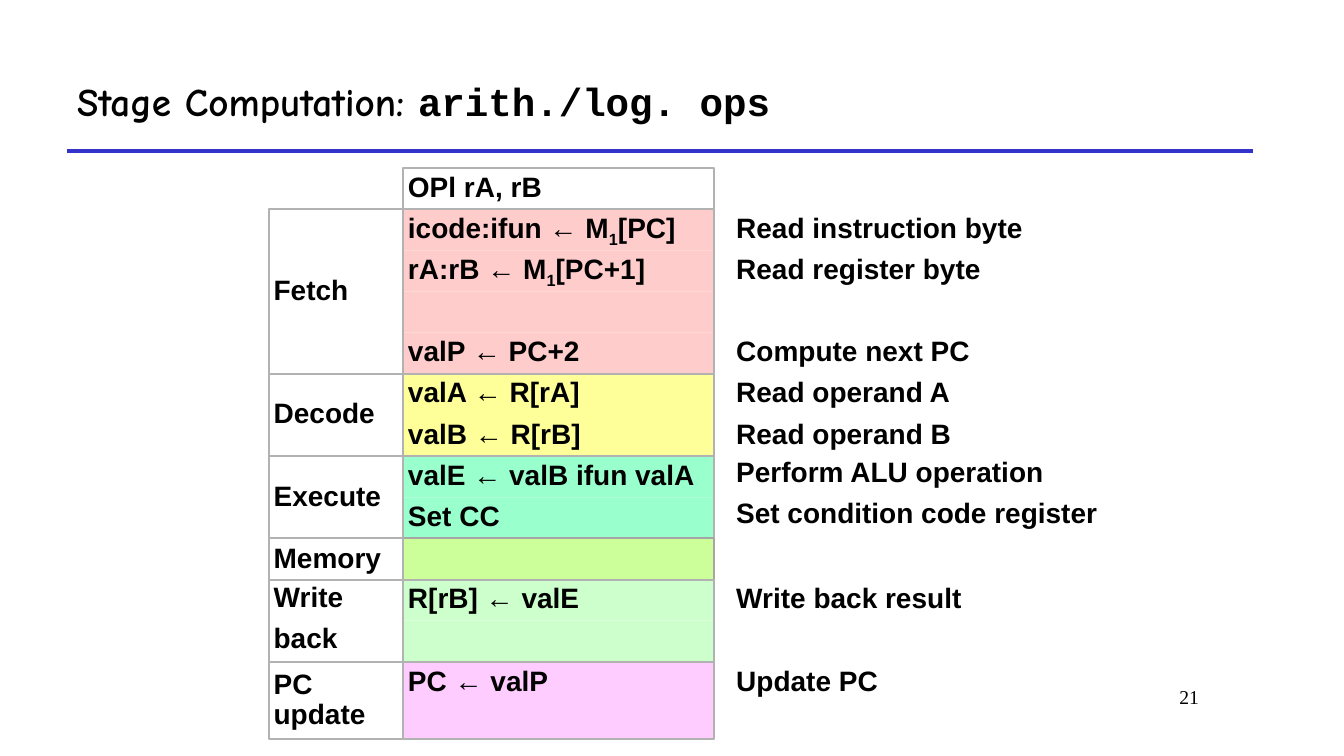
"""Build the slide on stage computation for arithmetic and logical operations."""
from dataclasses import dataclass
from typing import Optional

from lxml.etree import SubElement
from pptx import Presentation
from pptx.dml.color import RGBColor
from pptx.enum.shapes import MSO_CONNECTOR, MSO_SHAPE
from pptx.enum.text import MSO_ANCHOR as Anchor, MSO_AUTO_SIZE, PP_ALIGN as Align
from pptx.oxml.ns import qn
from pptx.slide import Slide
from pptx.util import Inches, Pt

PX = Inches(1) // 120
ROW = 49
TABLE_TOP = 200
NAME_LEFT, NAME_WIDTH = 320, 160
STEP_LEFT, STEP_WIDTH = 480, 371
NOTE_LEFT = 871
INSET = 6

BLACK = RGBColor(0x00, 0x00, 0x00)
RULE_BLUE = RGBColor(0x33, 0x33, 0xCC)
FRAME_GRAY = RGBColor(0xB2, 0xB2, 0xB2)
DARK_GRAY = RGBColor(0xA6, 0xA6, 0xA6)
PINK = RGBColor(0xFF, 0xCC, 0xCC)
YELLOW = RGBColor(0xFF, 0xFF, 0x99)
AQUA = RGBColor(0x99, 0xFF, 0xCC)
LIME = RGBColor(0xCC, 0xFF, 0x99)
MINT = RGBColor(0xCC, 0xFF, 0xCC)
VIOLET = RGBColor(0xFF, 0xCC, 0xFF)


@dataclass(frozen=True)
class Step:
    """One computation and its explanation; underscores enclose a subscript."""
    formula: str = ""
    note: str = ""
    formula_spacing: float = 0.9
    note_spacing: float = 0.9
    note_width: int = STEP_WIDTH


@dataclass(frozen=True)
class Stage:
    """A named processor stage with its coloured steps."""
    name: str
    color: RGBColor
    steps: tuple[Step, ...]
    step_height: int = ROW
    name_spacing: float = 0.9
    frame: RGBColor = FRAME_GRAY


@dataclass(frozen=True)
class Box:
    """A rectangle in px."""
    left: int
    top: int
    width: int
    height: int

    def emu(self) -> tuple[int, int, int, int]:
        """Return the rectangle in EMU."""
        return self.left * PX, self.top * PX, self.width * PX, self.height * PX


STAGES = (
    Stage("Fetch", PINK, (
        Step("icode:ifun ← M_1_[PC]", "Read instruction byte", formula_spacing=0.8),
        Step("rA:rB ← M_1_[PC+1]", "Read register byte", formula_spacing=0.8),
        Step(),
        Step("valP ← PC+2", "Compute next PC"),
    )),
    Stage("Decode", YELLOW, (
        Step("valA ← R[rA]", "Read operand A"),
        Step("valB ← R[rB]", "Read operand B"),
    )),
    Stage("Execute", AQUA, (
        Step("valE ← valB ifun valA", "Perform ALU operation",
             note_spacing=0.8, note_width=450),
        Step("Set CC", "Set condition code register",
             note_spacing=0.8, note_width=468),
    )),
    Stage("Memory", LIME, (Step(),), frame=DARK_GRAY),
    Stage("Write\nback", MINT, (Step("R[rB] ← valE", "Write back result"), Step()),
          name_spacing=0.7),
    Stage("PC update", VIOLET, (Step("PC ← valP", "Update PC"),), step_height=92),
)


def write_text(shape, text: str, spacing: float = 0.9, anchor: Anchor = Anchor.TOP) -> None:
    """Write bold left-aligned text with subscripts into a shape."""
    frame = shape.text_frame
    frame.word_wrap = True
    frame.vertical_anchor = anchor
    frame.margin_left = frame.margin_right = INSET * PX
    frame.margin_top = frame.margin_bottom = INSET * PX
    for index, line in enumerate(text.split("\n")):
        paragraph = frame.add_paragraph() if index else frame.paragraphs[0]
        paragraph.alignment = Align.LEFT
        paragraph.line_spacing = spacing
        paragraph.space_before = Pt(12.5)
        font = paragraph.font
        font.name, font.size, font.bold = "Arial", Pt(20), True
        font.color.rgb = BLACK
        for position, part in enumerate(line.split("_")):
            run = paragraph.add_run()
            run.text = part
            if position % 2:
                run._r.get_or_add_rPr().set("baseline", "-25000")


def add_box(slide: Slide, box: Box, fill: Optional[RGBColor] = None,
            line: Optional[RGBColor] = None):
    """Add a rectangle with an optional fill and outline."""
    shape = slide.shapes.add_shape(MSO_SHAPE.RECTANGLE, *box.emu())
    shape.shadow.inherit = False
    if fill is None:
        shape.fill.background()
    else:
        shape.fill.solid()
        shape.fill.fore_color.rgb = fill
    if line is None:
        shape.line.fill.background()
    else:
        shape.line.color.rgb = line
        shape.line.width = Pt(1.5)
    return shape


def add_stage(slide: Slide, stage: Stage, top: int) -> int:
    """Draw a stage and return the top of the next one."""
    height = stage.step_height * len(stage.steps)
    for index, step in enumerate(stage.steps):
        step_top = top + index * stage.step_height
        cell = add_box(slide, Box(STEP_LEFT, step_top, STEP_WIDTH, stage.step_height), stage.color)
        if step.formula:
            write_text(cell, step.formula, step.formula_spacing)
        if step.note:
            note_box = Box(NOTE_LEFT, step_top, step.note_width, stage.step_height)
            note = slide.shapes.add_textbox(*note_box.emu())
            write_text(note, step.note, step.note_spacing)
    add_box(slide, Box(STEP_LEFT, top, STEP_WIDTH, height), line=stage.frame)
    name = add_box(slide, Box(NAME_LEFT, top, NAME_WIDTH, height), line=FRAME_GRAY)
    write_text(name, stage.name, stage.name_spacing, Anchor.MIDDLE)
    return top + height


def add_title(slide: Slide) -> None:
    """Fill the title placeholder and draw the rule below it."""
    title = slide.shapes.title
    title.left, title.top, title.width, title.height = Box(80, 60, 1413, 120).emu()
    frame = title.text_frame
    frame.auto_size = MSO_AUTO_SIZE.NONE
    frame.vertical_anchor = Anchor.MIDDLE
    paragraph = frame.paragraphs[0]
    paragraph.alignment = Align.LEFT
    paragraph.font.size, paragraph.font.bold = Pt(28), True
    paragraph.font.color.rgb = BLACK
    for text, font_name in (("Stage Computation: ", "Comic Neue"),
                            ("arith./log. ops", "Courier New")):
        run = paragraph.add_run()
        run.text, run.font.name = text, font_name
    rule = slide.shapes.add_connector(
        MSO_CONNECTOR.STRAIGHT, 80 * PX, 180 * PX, 1493 * PX, 180 * PX)
    rule.line.color.rgb = RULE_BLUE
    rule.line.width = Pt(3)
    SubElement(rule._element.spPr, qn("a:effectLst"))


def add_page_number(slide: Slide) -> None:
    """Add the page number at the lower right."""
    number = slide.shapes.add_textbox(*Box(1213, 810, 227, 60).emu())
    number.text_frame.word_wrap = True
    paragraph = number.text_frame.paragraphs[0]
    paragraph.text = "21"
    paragraph.alignment = Align.RIGHT
    paragraph.font.name, paragraph.font.size = "Times New Roman", Pt(14)
    paragraph.font.color.rgb = BLACK


def main() -> None:
    """Build and save the presentation."""
    presentation = Presentation()
    presentation.slide_width, presentation.slide_height = 1601 * PX, 900 * PX
    slide = presentation.slides.add_slide(presentation.slide_layouts[5])
    add_title(slide)
    add_page_number(slide)
    heading = add_box(slide, Box(STEP_LEFT, TABLE_TOP, STEP_WIDTH, ROW), line=FRAME_GRAY)
    write_text(heading, "OPl rA, rB")
    top = TABLE_TOP + ROW
    for stage in STAGES:
        top = add_stage(slide, stage, top)
    presentation.save("out.pptx")


if __name__ == "__main__":
    main()
